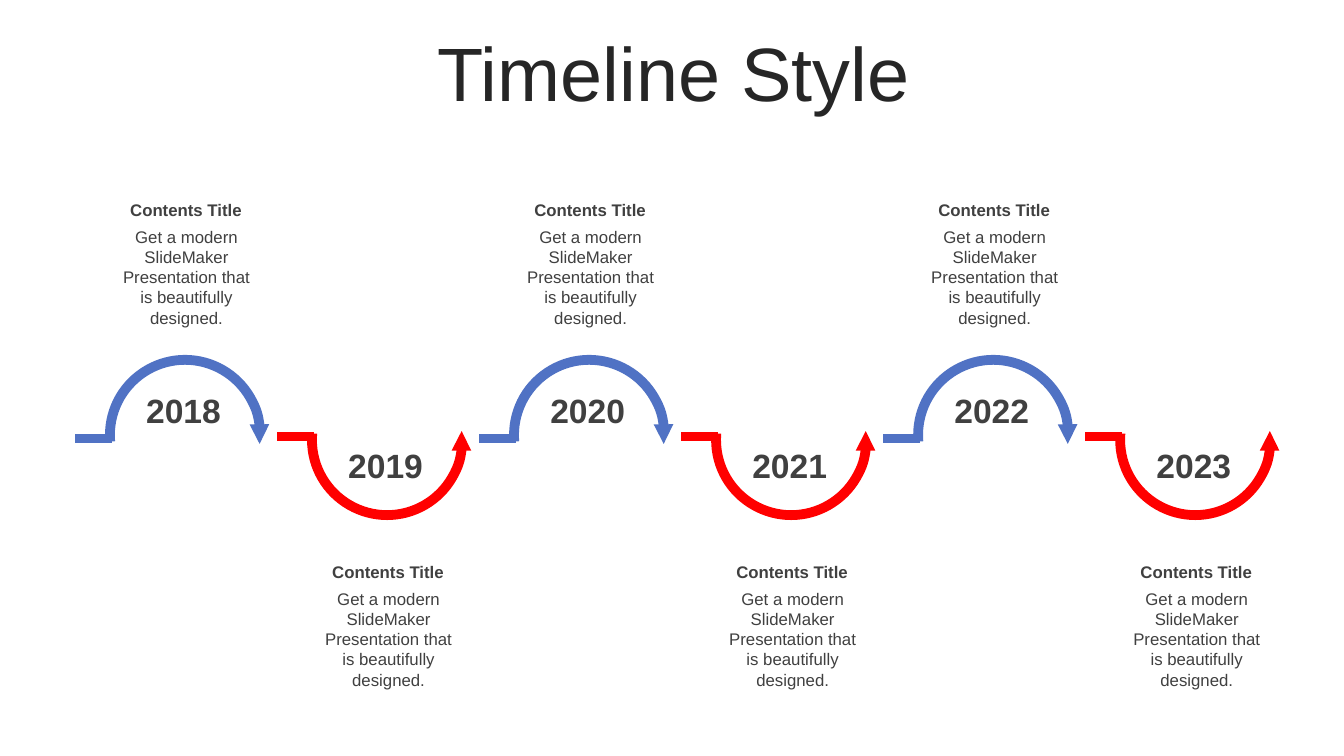
from lxml import etree
from pptx import Presentation
from pptx.dml.color import RGBColor
from pptx.enum.shapes import MSO_CONNECTOR, MSO_SHAPE
from pptx.enum.text import MSO_ANCHOR, PP_ALIGN
from pptx.oxml.ns import qn
from pptx.util import Inches, Pt

STRAIGHT = MSO_CONNECTOR.STRAIGHT
ARC = MSO_SHAPE.ARC
TOP, MIDDLE = MSO_ANCHOR.TOP, MSO_ANCHOR.MIDDLE
CENTER = PP_ALIGN.CENTER

BLUE = RGBColor(0x50, 0x72, 0xC4)
RED = RGBColor(0xFF, 0x00, 0x00)
TITLE_GRAY = RGBColor(0x26, 0x26, 0x26)
TEXT_GRAY = RGBColor(0x40, 0x40, 0x40)

FONT = "Arial"
YEARS = ["2018", "2019", "2020", "2021", "2022", "2023"]
HEADING = "Contents Title"
DESCRIPTION = "Get a modern SlideMaker Presentation that is beautifully designed."

FIRST_LEFT = 1.09
PITCH = 10.02 / 5
ARC_SIZE = 1.49
LINE_WIDTH = 7


def add_text(slide, text, left, top, width, height, *, size, color=TEXT_GRAY,
             bold=False, anchor=TOP, line_spacing=None, side_inset=0.1):
    box = slide.shapes.add_textbox(Inches(left), Inches(top), Inches(width), Inches(height))
    frame = box.text_frame
    frame.word_wrap = True
    frame.vertical_anchor = anchor
    frame.margin_left = frame.margin_right = Inches(side_inset)
    paragraph = frame.paragraphs[0]
    paragraph.alignment = CENTER
    paragraph.line_spacing = line_spacing
    run = paragraph.add_run()
    run.text = text
    run.font.name = FONT
    run.font.size = Pt(size)
    run.font.bold = bold
    run.font.color.rgb = color


def set_line(shape, color):
    shape.line.color.rgb = color
    shape.line.width = Pt(LINE_WIDTH)


def add_arc_arrow(slide, left, top, color, below):
    arc = slide.shapes.add_shape(ARC, Inches(left), Inches(top), Inches(ARC_SIZE), Inches(ARC_SIZE))
    arc.adjustments[0] = 103.88
    arc.adjustments[1] = 3.02
    arc.shadow.inherit = False
    arc.fill.background()
    set_line(arc, color)
    properties = arc.element.spPr
    transform = properties.find(qn("a:xfrm"))
    transform.set("flipH", "1")
    if below:
        transform.set("flipV", "1")
    line = properties.find(qn("a:ln"))
    etree.SubElement(line, qn("a:headEnd"), type="triangle", w="sm", len="sm")


def add_lead_line(slide, left, top, color):
    line = slide.shapes.add_connector(
        STRAIGHT, Inches(left + 0.02), Inches(top), Inches(left - 0.35), Inches(top))
    set_line(line, color)
    etree.SubElement(line.element.spPr, qn("a:effectLst"))


def add_caption(slide, left, top):
    add_text(slide, DESCRIPTION, left + 0.01, top + 0.27, 1.58, 1.11, size=12)
    add_text(slide, HEADING, left, top, 1.59, 0.3, size=12, bold=True, side_inset=0.12)


def add_milestone(slide, left, year, below):
    color = RED if below else BLUE
    add_arc_arrow(slide, left, 3.62 if below else 3.57, color, below)
    add_lead_line(slide, left, 4.33 if below else 4.35, color)
    add_text(slide, year, left - 0.01, 4.36 if below else 3.82, 1.48, 0.5, size=24, bold=True)
    add_caption(slide, left - 0.04, 5.52 if below else 1.93)


def add_timeline(slide, left):
    for index, year in enumerate(YEARS):
        add_milestone(slide, left + index * PITCH, year, below=index % 2 == 1)


def main():
    presentation = Presentation()
    presentation.slide_width = Inches(13.33)
    presentation.slide_height = Inches(7.5)
    slide = presentation.slides.add_slide(presentation.slide_layouts[6])
    add_text(slide, "Timeline Style", 0.35, 0.37, 12.66, 0.79, size=54,
             color=TITLE_GRAY, anchor=MIDDLE, line_spacing=0.9)
    add_timeline(slide, FIRST_LEFT)
    presentation.save("out.pptx")


if __name__ == "__main__":
    main()
